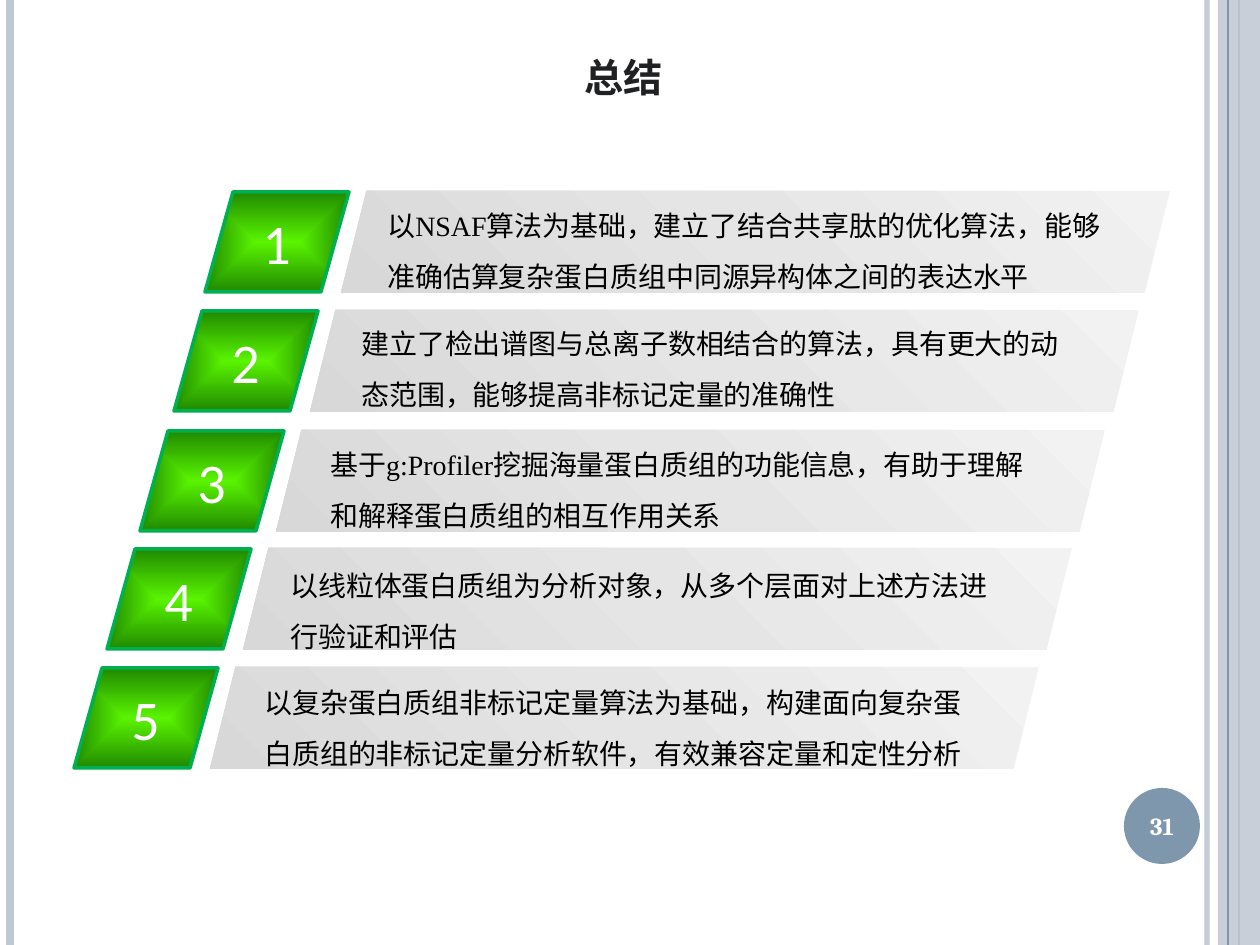
from dataclasses import dataclass

from lxml import etree
from pptx import Presentation
from pptx import util as u
from pptx.dml.color import RGBColor
from pptx.enum import shapes, text
from pptx.oxml import ns

PX = 914400 // 126  # one px in EMU
A = ns.qn("a:srgbClr")[1:].split("}")[0]


@dataclass(frozen=True)
class Theme:
    pale: str = "C0C9D3"
    steel: str = "7E97AD"
    edge: str = "00B050"
    ink: str = "1F2123"
    black: str = "000000"
    white: str = "FFFFFF"
    green: tuple = ((0, "5AF300"), (100, "208A00"))
    grey: tuple = ((0, "D8D8D8"), (50, "E5E5E5"), (100, "F2F2F2"))
    head: int = 28
    digit: int = 32
    body: int = 16
    page: int = 14


@dataclass(frozen=True)
class Box:
    x: int
    y: int
    w: int
    h: int

    def emu(self) -> list:
        return [u.Emu(v * PX) for v in (self.x, self.y, self.w, self.h)]


@dataclass(frozen=True)
class Rule:
    x: int
    color: str
    width: float
    alpha: int = 100


@dataclass(frozen=True)
class Row:
    x: int       # left of the number tile
    y: int
    tx: int      # left of the wording
    ty: int
    runs: tuple  # (wording, font)


T = Theme()
RULES = (Rule(1207, T.pale, 3, 93), Rule(10, T.pale, 4.5), Rule(1239, T.steel, 1.5))
INNER = Rule(1228, T.steel, 0.75)
ROWS = (
    Row(205, 192, 375, 186, (
        ("以", "Arial"), ("NSAF", "Times New Roman"),
        ("算法为基础，建立了结合共享肽的优化算法，能够准确估算复杂蛋白质组中同源异构体之间的表达水平", "Arial"))),
    Row(174, 311, 349, 304, (
        ("建立了检出谱图与总离子数相结合的算法，具有更大的动态范围，能够提高非标记定量的准确性", "Cambria"),)),
    Row(140, 431, 318, 425, (
        ("基于", "Cambria"), ("g:Profiler", "Times New Roman"),
        ("挖掘海量蛋白质组的功能信息，有助于理解和解释蛋白质组的相互作用关系", "Cambria"))),
    Row(107, 549, 278, 546, (
        ("以线粒体蛋白质组为分析对象，从多个层面对上述方法进行验证和评估", "Cambria"),)),
    Row(74, 668, 252, 663, (
        ("以复杂蛋白质组非标记定量算法为基础，构建面向复杂蛋白质组的非标记定量分析软件，有效兼容定量和定性分析", "Cambria"),)),
)


def fade(item, alpha: int) -> None:
    """Set the opacity of the item's first colour, in percent."""
    if alpha < 100:
        clr = item._element.spPr.find(f".//{{{A}}}srgbClr")
        etree.SubElement(clr, f"{{{A}}}alpha", val=str(alpha * 1000))


def blend(item, stops: tuple, kind: str, rect: dict) -> None:
    """Fill a shape with a gradient that spreads from a focus."""
    item.fill.background()
    old = item._element.spPr.find(f"{{{A}}}noFill")
    grad = etree.Element(f"{{{A}}}gradFill", rotWithShape="1")
    line = etree.SubElement(grad, f"{{{A}}}gsLst")
    for pos, color in stops:
        stop = etree.SubElement(line, f"{{{A}}}gs", pos=str(pos * 1000))
        etree.SubElement(stop, f"{{{A}}}srgbClr", val=color)
    way = etree.SubElement(grad, f"{{{A}}}path", {"path": kind})
    etree.SubElement(way, f"{{{A}}}fillToRect",
                     {side: str(pct * 1000) for side, pct in rect.items()})
    old.getparent().replace(old, grad)


def shape(tree, kind, box: Box, color: str = "", alpha: int = 100):
    item = tree.add_shape(kind, *box.emu())
    item.shadow.inherit = False
    item.line.fill.background()
    if color:
        item.fill.solid()
        item.fill.fore_color.rgb = RGBColor.from_string(color)
        fade(item, alpha)
    return item


def rule(tree, r: Rule) -> None:
    x = u.Emu(r.x * PX)
    item = tree.add_connector(shapes.MSO_CONNECTOR.STRAIGHT, x, 0, x, u.Inches(7.5))
    item.line.color.rgb = RGBColor.from_string(r.color)
    item.line.width = u.Pt(r.width)
    fade(item, r.alpha)
    etree.SubElement(item._element.spPr, f"{{{A}}}effectLst")


def write(para, word: str, font: str, size: int, color: str, bold: bool = False):
    run = para.add_run()
    run.text = word
    run.font.name = font
    run.font.size = u.Pt(size)
    run.font.bold = bold
    run.font.color.rgb = RGBColor.from_string(color)
    return run


def label(tree, box: Box, wrap: bool = True, grow: bool = True):
    """Add a text box and return its frame."""
    frame = tree.add_textbox(*box.emu()).text_frame
    frame.word_wrap = wrap
    fit = text.MSO_AUTO_SIZE
    frame.auto_size = fit.SHAPE_TO_FIT_TEXT if grow else fit.NONE
    return frame


def point(tree, num: int, row: Row) -> None:
    slant = shapes.MSO_SHAPE.PARALLELOGRAM
    # Number tile
    group = tree.add_group_shape().shapes
    tile = shape(group, slant, Box(row.x, row.y, 144, 100))
    tile.adjustments[0] = 0.28
    blend(tile, T.green, "shape", dict(l=50, t=50, r=50, b=50))
    tile.line.color.rgb = RGBColor.from_string(T.edge)
    tile.line.width = u.Pt(2)
    frame = label(group, Box(row.x + 45, row.y + 10, 54, 81), wrap=False)
    write(frame.paragraphs[0], str(num), "Calibri", T.digit, T.white)
    # Bar with wording
    bar = shape(tree, slant, Box(row.x + 136, row.y - 1, 829, 102))
    blend(bar, T.grey, "circle", dict(t=100, r=100))
    para = label(tree, Box(row.tx, row.ty, 745, 115)).paragraphs[0]
    para.line_spacing = 1.5
    for word, font in row.runs:
        write(para, word, font, T.body, T.black)


def main() -> None:
    deck = Presentation()
    deck.slide_width, deck.slide_height = u.Inches(10), u.Inches(7.5)
    slide = deck.slides.add_slide(deck.slide_layouts[5])
    tree = slide.shapes

    # Title
    title = tree.title
    title.left, title.top, title.width, title.height = Box(44, 28, 1160, 89).emu()
    frame = title.text_frame
    frame.auto_size = text.MSO_AUTO_SIZE.NONE
    frame.vertical_anchor = text.MSO_ANCHOR.MIDDLE
    para = frame.paragraphs[0]
    para.alignment = text.PP_ALIGN.CENTER
    run = write(para, "总结", "Arial", T.head, T.ink, bold=True)
    run.font._element.set("cap", "small")

    # Side stripes
    for r in RULES:
        rule(tree, r)
    shape(tree, shapes.MSO_SHAPE.RECTANGLE, Box(1218, 0, 42, 945), T.pale, 87)
    rule(tree, INNER)

    # Page badge
    shape(tree, shapes.MSO_SHAPE.OVAL, Box(1124, 788, 76, 76), T.steel)
    frame = label(tree, Box(1120, 790, 84, 72), grow=False)
    frame.vertical_anchor = text.MSO_ANCHOR.MIDDLE
    para = frame.paragraphs[0]
    para.alignment = text.PP_ALIGN.CENTER
    write(para, "31", "Cambria", T.page, T.white, bold=True)

    # Five conclusions
    for num, row in enumerate(ROWS, 1):
        point(tree, num, row)

    deck.save("out.pptx")


if __name__ == "__main__":
    main()
